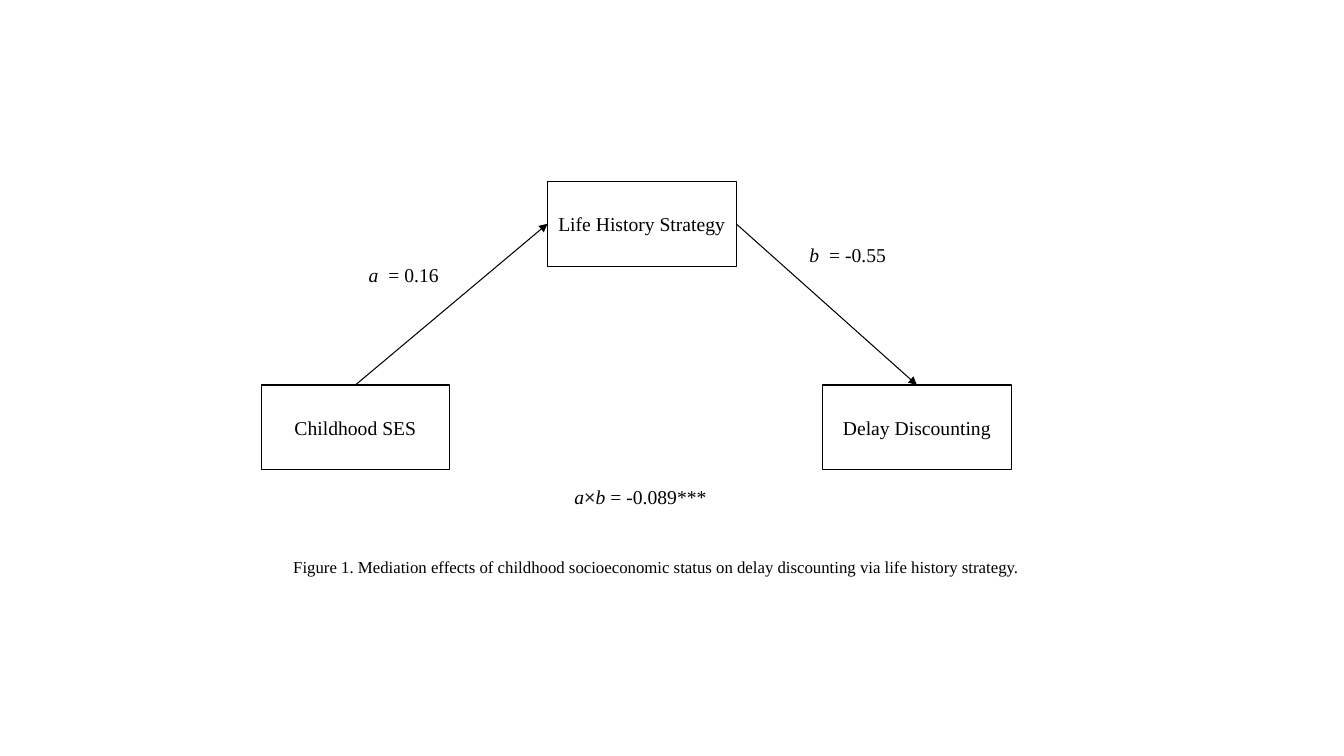
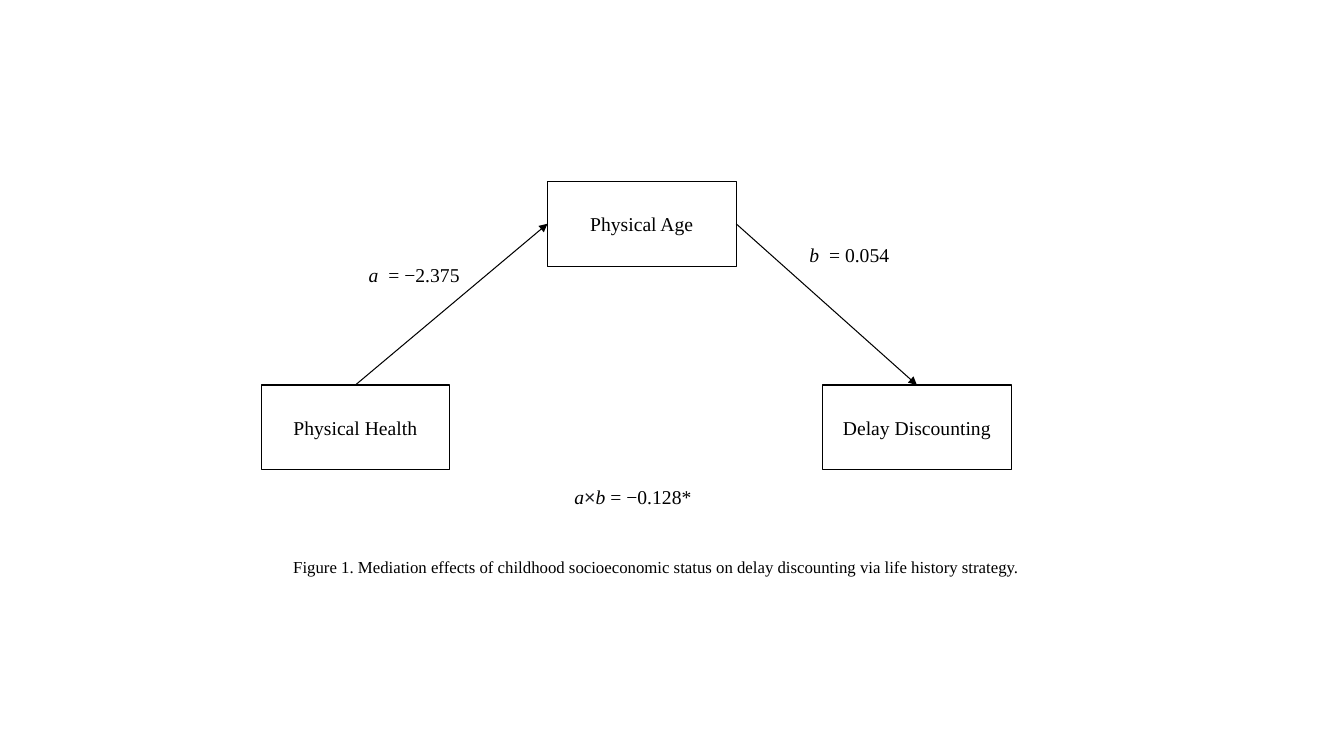
"""Draw two mediation diagrams on a grid of 100 columns by 100 rows."""
from dataclasses import dataclass
from typing import NamedTuple

from lxml.etree import SubElement as Sub
from pptx import Presentation as Deck
from pptx.dml.color import RGBColor as Rgb
from pptx.enum.shapes import MSO_CONNECTOR as Link, MSO_SHAPE as Form
from pptx.enum.text import MSO_ANCHOR as Anchor, PP_ALIGN as Align
from pptx.oxml.ns import qn
from pptx.shapes.autoshape import Shape
from pptx.slide import Slide
from pptx.text.text import TextFrame
from pptx.util import Inches, Pt

WIDE, HIGH = Inches(13.33), Inches(7.5)
COLORS = {"ink": "000000", "paper": "FFFFFF", "sign": "202124"}
SERIF, SANS = "Times New Roman", "Arial"
BODY, SMALL = 14, 12
TOP, LEFT, RIGHT = 0, 1, 3
CAPTION = ("Figure 1. Mediation effects of childhood socioeconomic status "
           "on delay discounting via life history strategy.")


class Area(NamedTuple):
    """Left, top, width and height in columns and rows."""
    col: float
    row: float
    cols: float
    rows: float

    def place(self) -> tuple[int, int, int, int]:
        """Turn grid units into slide lengths."""
        return (int(WIDE * self.col / 100), int(HIGH * self.row / 100),
                int(WIDE * self.cols / 100), int(HIGH * self.rows / 100))


class Part(NamedTuple):
    """A piece of a line of text."""
    text: str
    slant: bool = False
    sign: bool = False


@dataclass(frozen=True)
class Model:
    """Wording of one mediation diagram."""
    cause: str
    medium: str
    effect: str
    a: str
    b: str
    product: str


BOX = (14.03, 11.2)
BASE = 50.93
MEDIUM = Area(40.74, 24, *BOX)
CAUSE = Area(19.43, BASE, *BOX)
EFFECT = Area(61.21, BASE, *BOX)
LABEL = (10.13, 4.93)
PATH_A = Area(26.7, 34.13, *LABEL)
PATH_B = Area(59.49, 31.47, *LABEL)
PRODUCT = Area(42, 63.47, 16.05, 4.93)
NOTE = Area(21.08, 72.93, 59.26, 4)

MODELS = [
    Model("Childhood SES", "Life History Strategy", "Delay Discounting",
          "0.16", "-0.55", "-0.089***"),
    Model("Physical Health", "Physical Age", "Delay Discounting",
          "−2.375", "0.054", "−0.128*"),
]


def color(name: str) -> Rgb:
    """Look up a named colour."""
    return Rgb.from_string(COLORS[name])


def write(frame: TextFrame, parts: list[Part], size: int = BODY) -> None:
    """Fill a frame with one line of text."""
    frame.word_wrap = True
    line = frame.paragraphs[0]
    line.font.name, line.font.size = SERIF, Pt(size)
    line.font.color.rgb = color("ink")
    for part in parts:
        run = line.add_run()
        run.text = part.text
        if part.slant:
            run.font.italic = True
        if part.sign:
            run.font.name = SANS
            run.font.color.rgb = color("sign")


def add_box(slide: Slide, area: Area, text: str) -> Shape:
    """Add an outlined box with a centred name."""
    box = slide.shapes.add_shape(Form.RECTANGLE, *area.place())
    box.shadow.inherit = False
    box.fill.solid()
    box.fill.fore_color.rgb = color("paper")
    box.line.color.rgb = color("ink")
    box.line.width = Pt(0.75)
    write(box.text_frame, [Part(text)])
    box.text_frame.vertical_anchor = Anchor.MIDDLE
    box.text_frame.paragraphs[0].alignment = Align.CENTER
    return box


def add_arrow(slide: Slide, start: Shape, out: int,
              end: Shape, into: int) -> None:
    """Join two boxes with an arrow."""
    arrow = slide.shapes.add_connector(Link.STRAIGHT, 0, 0, 0, 0)
    arrow.begin_connect(start, out)
    arrow.end_connect(end, into)
    arrow.line.color.rgb = color("ink")
    arrow.line.width = Pt(0.75)
    Sub(arrow.line._get_or_add_ln(), qn("a:tailEnd"), type="triangle")
    Sub(arrow._element.spPr, qn("a:effectLst"))


def add_text(slide: Slide, area: Area, parts: list[Part],
             size: int = BODY) -> None:
    """Add a plain line of text."""
    write(slide.shapes.add_textbox(*area.place()).text_frame, parts, size)


def draw(slide: Slide, model: Model) -> None:
    """Draw one diagram with its labels and caption."""
    medium = add_box(slide, MEDIUM, model.medium)
    effect = add_box(slide, EFFECT, model.effect)
    cause = add_box(slide, CAUSE, model.cause)
    add_arrow(slide, cause, TOP, medium, LEFT)
    add_arrow(slide, medium, RIGHT, effect, TOP)
    for name, value, area in (("a", model.a, PATH_A), ("b", model.b, PATH_B)):
        add_text(slide, area, [Part(f"{name} ", True), Part(f" = {value}")])
    add_text(slide, NOTE, [Part(CAPTION)], SMALL)
    add_text(slide, PRODUCT, [Part("a", True), Part("×", sign=True),
                              Part("b ", True), Part(f"= {model.product}")])


def main() -> None:
    """Build and save the deck."""
    deck = Deck()
    deck.slide_width, deck.slide_height = WIDE, HIGH
    blank = deck.slide_layouts.get_by_name("Blank")
    for model in MODELS:
        draw(deck.slides.add_slide(blank), model)
    deck.save("out.pptx")


main()
